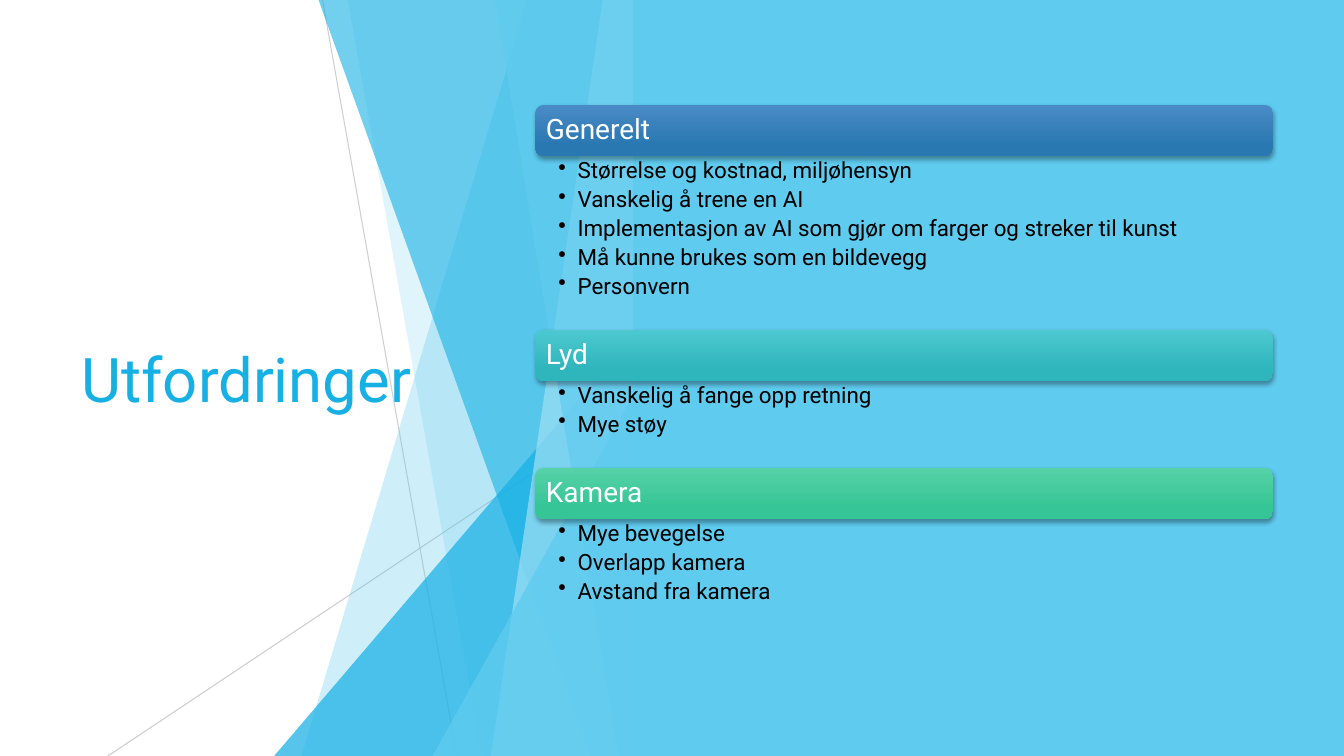
"""Build the slide "Utfordringer" with three groups of challenges."""
from lxml.etree import SubElement
from pptx import Presentation
from pptx.dml.color import RGBColor
from pptx.enum.shapes import MSO_CONNECTOR as Connector, MSO_SHAPE as Shape
from pptx.enum.text import MSO_ANCHOR as Anchor
from pptx.oxml.ns import qn
from pptx.util import Inches, Pt

WIDTH, HEIGHT = Inches(13.333), Inches(7.5)
FONT = "Roboto"
WHITE = RGBColor(0xFF, 0xFF, 0xFF)
BLACK = RGBColor(0x00, 0x00, 0x00)
GREY = RGBColor(0xBF, 0xBF, 0xBF)
SKY = RGBColor(0x5F, 0xCB, 0xEF)
AZURE = RGBColor(0x17, 0xB0, 0xE4)
PALE = RGBColor(0x9F, 0xE0, 0xF5)
BLUES = RGBColor(0x4A, 0x8B, 0xC6), RGBColor(0x2A, 0x78, 0xB2)
TEALS = RGBColor(0x4D, 0xC8, 0xD0), RGBColor(0x2F, 0xB5, 0xBC)
GREENS = RGBColor(0x56, 0xD2, 0xA7), RGBColor(0x36, 0xC5, 0x96)

PANEL_LEFT = 47.1
LIST_LEFT, LIST_WIDTH, LIST_TOP, HEADING_HEIGHT = 39.83, 54.9, 13.87, 6.8
SECTIONS = [
    ("Generelt", BLUES, 22.93, [
        "Størrelse og kostnad, miljøhensyn",
        "Vanskelig å trene en AI",
        "Implementasjon av AI som gjør om farger og streker til kunst",
        "Må kunne brukes som en bildevegg",
        "Personvern",
    ]),
    ("Lyd", TEALS, 11.47, ["Vanskelig å fange opp retning", "Mye støy"]),
    ("Kamera", GREENS, 15.33, ["Mye bevegelse", "Overlapp kamera", "Avstand fra kamera"]),
]


def across(percent):
    """Return a share of the slide's width."""
    return round(WIDTH * percent / 100)


def down(percent):
    """Return a share of the slide's height."""
    return round(HEIGHT * percent / 100)


def area(left, top, width, height):
    """Return a rectangle given in percent of the slide."""
    return across(left), down(top), across(width), down(height)


def set_opacity(shape, percent):
    """Make every plain colour of the shape partly transparent."""
    for color in list(shape.element.iter(qn("a:srgbClr"))):
        SubElement(color, qn("a:alpha"), val=str(percent * 1000))


def paint(shape, color, opacity=100):
    """Give the shape a flat fill without outline or shadow."""
    shape.shadow.inherit = False
    shape.fill.solid()
    shape.fill.fore_color.rgb = color
    shape.line.fill.background()
    if opacity < 100:
        set_opacity(shape, opacity)


def add_ray(page, start, end, opacity):
    """Draw a thin grey line between two points."""
    ray = page.shapes.add_connector(
        Connector.STRAIGHT, across(start[0]), down(start[1]), across(end[0]), down(end[1]))
    ray.line.color.rgb = GREY
    ray.line.width = Pt(0.75)
    set_opacity(ray, opacity)
    SubElement(ray.element.spPr, qn("a:effectLst"))


def add_band(page, top_left, bottom_left, color, opacity):
    """Draw a full-height band with a slanted left edge up to the panel."""
    right = across(PANEL_LEFT)
    builder = page.shapes.build_freeform(across(top_left), 0, scale=1.0)
    builder.add_line_segments([(right, 0), (right, HEIGHT), (across(bottom_left), HEIGHT)])
    paint(builder.convert_to_shape(), color, opacity)


def add_wedge(page, left, top, color, opacity):
    """Draw a right triangle in the lower corner beside the panel."""
    wedge = page.shapes.add_shape(
        Shape.ISOSCELES_TRIANGLE, *area(left, top, PANEL_LEFT - left, 100 - top))
    wedge.adjustments[0] = 1
    paint(wedge, color, opacity)


def add_facets(page):
    """Draw the overlapping facets and the panel."""
    add_ray(page, (24, 0), (34, 100), 75)
    add_ray(page, (PANEL_LEFT, 53.73), (8.03, 100), 80)
    add_band(page, 39.23, 22.43, SKY, 30)
    add_band(page, 25.88, 35.85, SKY, 20)
    add_wedge(page, 20.4, 44.4, AZURE, 72)
    add_band(page, 23.7, 43.95, AZURE, 60)
    add_band(page, 44.85, 36.53, PALE, 70)
    add_band(page, 36.83, 45.98, SKY, 65)
    add_wedge(page, 32.18, 52.4, SKY, 80)
    panel = page.shapes.add_shape(Shape.RECTANGLE, *area(PANEL_LEFT, 0, 100 - PANEL_LEFT, 100))
    paint(panel, SKY)


def style_font(para, size, color):
    """Set the font of a paragraph."""
    para.font.name = FONT
    para.font.size = Pt(size)
    para.font.color.rgb = color


def add_title(page, text):
    """Add the slide's title."""
    box = page.shapes.add_textbox(*area(5.33, 20.13, 29.1, 59.73))
    frame = box.text_frame
    frame.word_wrap = True
    frame.vertical_anchor = Anchor.MIDDLE
    frame.text = text
    style_font(frame.paragraphs[0], 44, AZURE)


def add_heading(page, top, text, colors):
    """Add a rounded bar with a gradient, a soft shadow and a heading."""
    bar = page.shapes.add_shape(
        Shape.ROUNDED_RECTANGLE, *area(LIST_LEFT, top, LIST_WIDTH, HEADING_HEIGHT))
    bar.line.fill.background()
    bar.fill.gradient()
    bar.fill.gradient_angle = 270
    for stop, color, position in zip(bar.fill.gradient_stops, colors, (0, 0.78)):
        stop.color.rgb = color
        stop.position = position
    bar.shadow.inherit = False
    effects = bar.element.spPr.find(qn("a:effectLst"))
    shadow = SubElement(effects, qn("a:outerShdw"), blurRad=str(Pt(3)), dist=str(Pt(2)),
                        dir="5400000", rotWithShape="0")
    shade = SubElement(shadow, qn("a:srgbClr"), val=str(BLACK))
    SubElement(shade, qn("a:alpha"), val="35000")
    frame = bar.text_frame
    frame.word_wrap = True
    frame.vertical_anchor = Anchor.MIDDLE
    frame.margin_left = frame.margin_right = Inches(0.08)
    frame.margin_top = frame.margin_bottom = 0
    frame.text = text
    para = frame.paragraphs[0]
    para.alignment = 1
    para.line_spacing = 0.9
    style_font(para, 20, WHITE)


def add_bullets(page, top, height, items):
    """Add a bulleted list."""
    box = page.shapes.add_textbox(*area(LIST_LEFT, top, LIST_WIDTH, height))
    frame = box.text_frame
    frame.word_wrap = True
    frame.margin_left, frame.margin_right = Inches(0.23), Inches(0.16)
    frame.margin_top = frame.margin_bottom = Inches(0.03)
    frame.text = "\n".join(items)
    for para in frame.paragraphs:
        properties = para._p.get_or_add_pPr()
        properties.set("marL", str(Inches(0.19)))
        properties.set("indent", str(-Inches(0.19)))
        SubElement(properties, qn("a:buChar"), char="•")
        para.line_spacing = 0.9
        para.space_after = Pt(3.4)
        style_font(para, 16, BLACK)


def main():
    """Build and save the deck."""
    deck = Presentation()
    deck.slide_width, deck.slide_height = WIDTH, HEIGHT
    page = deck.slides.add_slide(deck.slide_layouts[6])
    add_facets(page)
    add_title(page, "Utfordringer")
    top = LIST_TOP
    for heading, colors, height, items in SECTIONS:
        add_heading(page, top, heading, colors)
        add_bullets(page, top + HEADING_HEIGHT, height, items)
        top += HEADING_HEIGHT + height
    deck.save("out.pptx")


if __name__ == "__main__":
    main()
